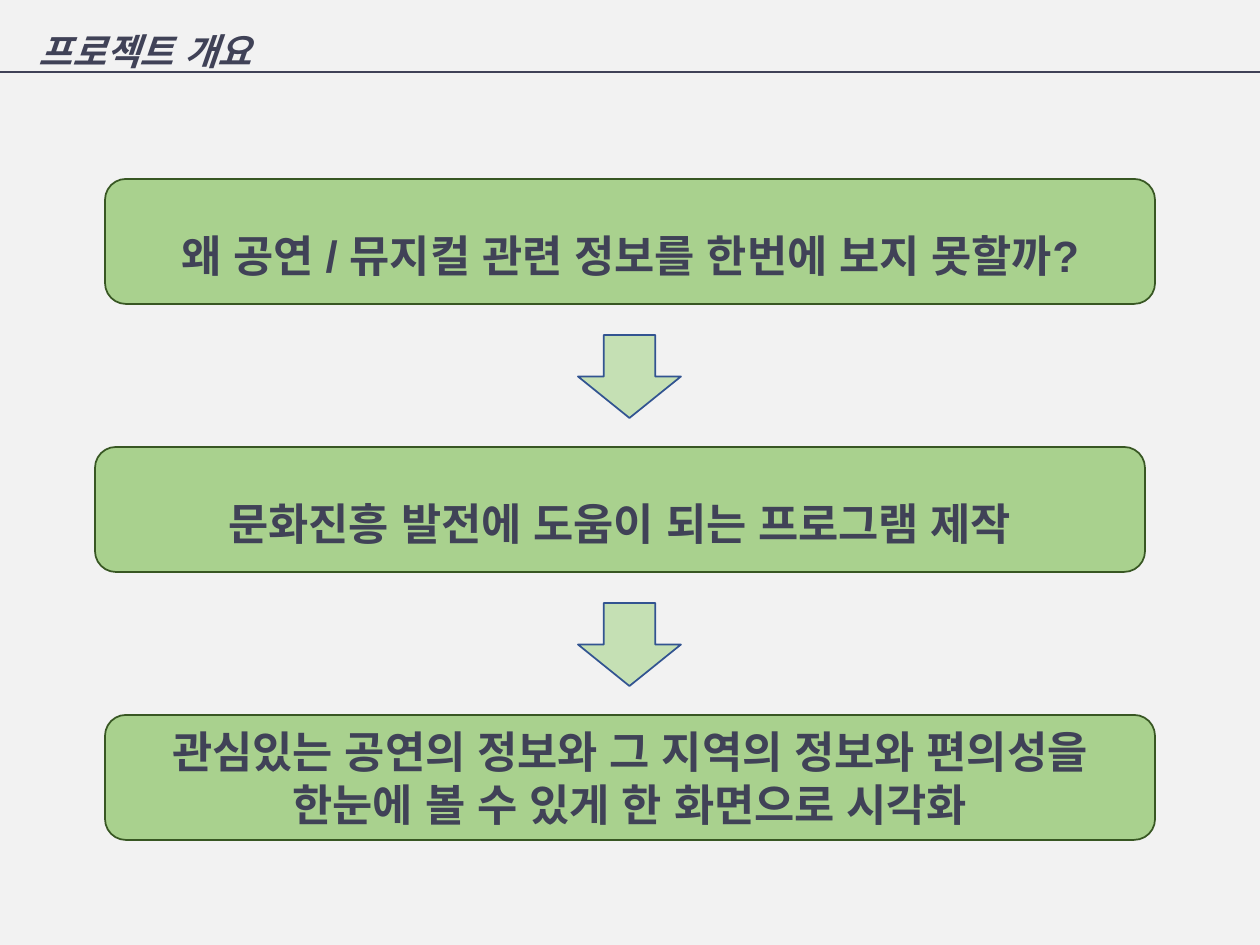
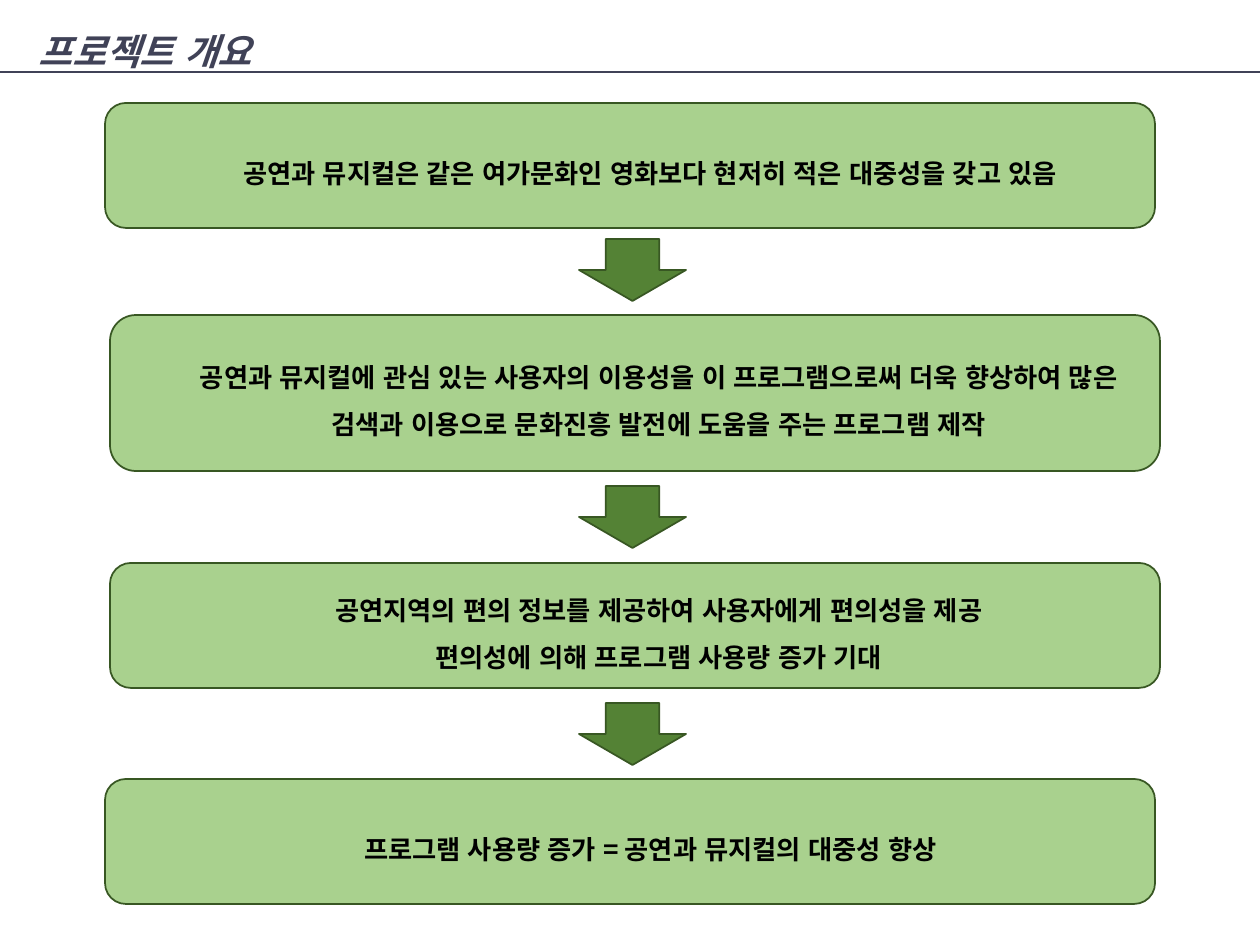
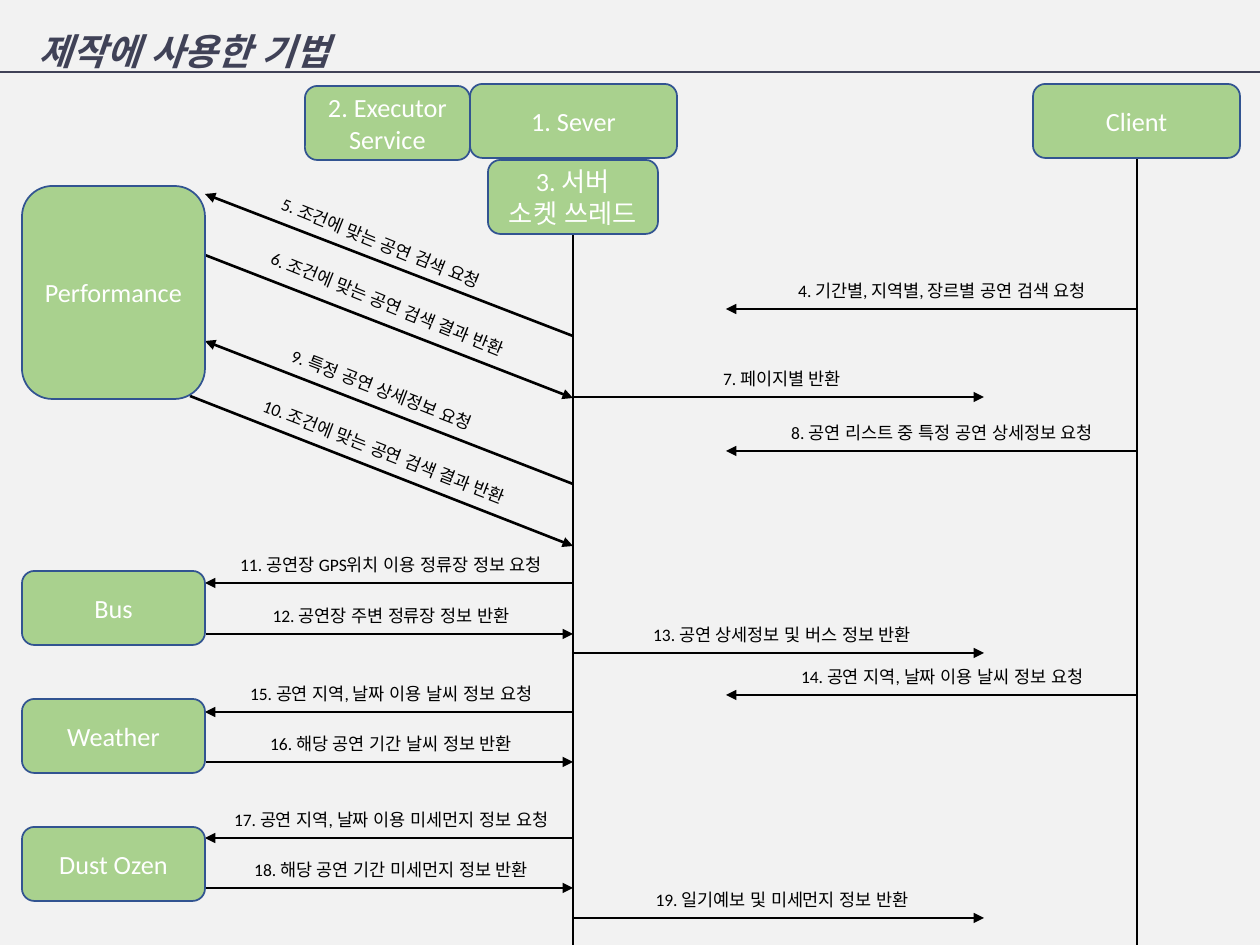
from lxml.etree import SubElement
from pptx import Presentation
from pptx.dml.color import RGBColor
from pptx.enum.shapes import MSO_CONNECTOR, MSO_SHAPE
from pptx.enum.text import MSO_ANCHOR, MSO_AUTO_SIZE, PP_ALIGN
from pptx.oxml.ns import qn
from pptx.util import Inches, Pt

PX = Inches(10) / 1260

INK = RGBColor(0x40, 0x42, 0x57)
BLACK = RGBColor(0x00, 0x00, 0x00)
WHITE = RGBColor(0xFF, 0xFF, 0xFF)
PALE_GRAY = RGBColor(0xF2, 0xF2, 0xF2)
GREEN = RGBColor(0xA9, 0xD1, 0x8E)
LIGHT_GREEN = RGBColor(0xC5, 0xE0, 0xB4)
DARK_GREEN = RGBColor(0x54, 0x82, 0x35)
GREEN_EDGE = RGBColor(0x38, 0x57, 0x23)
BLUE_EDGE = RGBColor(0x32, 0x54, 0x91)

KOREAN = "Noto Sans CJK KR"
EAST_ASIAN = "Arial"


def write_text(text_frame, text, size, font, color, bold=False, italic=False,
               spacing=1.0, align=PP_ALIGN.CENTER, indent=0):
    text_frame.word_wrap = True
    text_frame.text = text
    for paragraph in text_frame.paragraphs:
        paragraph.alignment = align
        paragraph.line_spacing = spacing
        if indent:
            properties = paragraph._p.get_or_add_pPr()
            properties.set("marL", str(round(indent * PX)))
            properties.set("indent", "0")
        for run in paragraph.runs:
            run.font.size = Pt(size)
            run.font.bold = bold
            run.font.italic = italic
            run.font.color.rgb = color
            run.font.name = font
            SubElement(run._r.get_or_add_rPr(), qn("a:ea"), typeface=EAST_ASIAN)


def add_block(slide, kind, box, fill, edge, margin=0):
    shape = slide.shapes.add_shape(kind, *(round(value * PX) for value in box))
    shape.shadow.inherit = False
    shape.fill.solid()
    shape.fill.fore_color.rgb = fill
    shape.line.color.rgb = edge
    shape.line.width = Pt(1)
    text_frame = shape.text_frame
    text_frame.vertical_anchor = MSO_ANCHOR.MIDDLE
    text_frame.margin_left = text_frame.margin_right = Inches(2 * margin)
    text_frame.margin_top = text_frame.margin_bottom = Inches(margin)
    return shape


presentation = Presentation()
presentation.slide_width = Inches(10)
presentation.slide_height = Inches(7.5)

# Backgrounds and titles; strokes are (slide, ends, colour, has arrowhead)
strokes = []
for title, background in [("프로젝트 개요", PALE_GRAY), ("프로젝트 개요", WHITE),
                          ("제작에 사용한 기법", PALE_GRAY)]:
    slide = presentation.slides.add_slide(presentation.slide_layouts[5])
    slide.background.fill.solid()
    slide.background.fill.fore_color.rgb = background
    shape = slide.shapes.title
    shape.left, shape.top, shape.width, shape.height = (
        round(value * PX) for value in (26, 3, 529, 68))
    text_frame = shape.text_frame
    text_frame.vertical_anchor = MSO_ANCHOR.TOP
    text_frame.auto_size = MSO_AUTO_SIZE.NONE
    text_frame.margin_top = Inches(0.03)
    write_text(text_frame, title, 21, KOREAN, INK, bold=True, italic=True,
               spacing=1.5, align=PP_ALIGN.LEFT)
    strokes.append((slide, (1260, 72, 0, 72), INK, False))

question_slide, goal_slide, sequence_slide = presentation.slides

# Slide 1: three statements
statements = [
    (105, 1.5, "왜 공연 / 뮤지컬 관련 정보를 한번에 보지 못할까?"),
    (95, 1.5, "문화진흥 발전에 도움이 되는 프로그램 제작"),
    (105, 1.0, "관심있는 공연의 정보와 그 지역의 정보와 편의성을 한눈에 볼 수 있게 한 화면으로 시각화"),
]
for row, (left, spacing, text) in enumerate(statements):
    top = 179 + 268 * row
    shape = add_block(question_slide, MSO_SHAPE.ROUNDED_RECTANGLE,
                      (left, top, 1050, 125), GREEN, GREEN_EDGE)
    write_text(shape.text_frame, text, 25, "Arial", INK, bold=True, spacing=spacing)
    if row < 2:
        add_block(question_slide, MSO_SHAPE.DOWN_ARROW, (578, top + 156, 103, 83),
                  LIGHT_GREEN, BLUE_EDGE)

# Slide 2: four steps
steps = [
    (105, 103, 125, "공연과 뮤지컬은 같은 여가문화인 영화보다 현저히 적은 대중성을 갖고 있음 "),
    (110, 315, 156, "공연과 뮤지컬에 관심 있는 사용자의 이용성을 이 프로그램으로써 더욱 향상하여 많은 "
                    "검색과 이용으로 문화진흥 발전에 도움을 주는 프로그램 제작"),
    (110, 563, 125, "공연지역의 편의 정보를 제공하여 사용자에게 편의성을 제공\n"
                    "편의성에 의해 프로그램 사용량 증가 기대"),
    (105, 779, 125, "프로그램 사용량 증가 = 공연과 뮤지컬의 대중성 향상 "),
]
for left, top, height, text in steps:
    shape = add_block(goal_slide, MSO_SHAPE.ROUNDED_RECTANGLE,
                      (left, top, 1050, height), GREEN, GREEN_EDGE)
    write_text(shape.text_frame, text, 15, KOREAN, BLACK, bold=True,
               spacing=1.5, indent=48)
for top in (239, 486, 703):
    add_block(goal_slide, MSO_SHAPE.DOWN_ARROW, (579, top, 107, 62),
              DARK_GREEN, GREEN_EDGE)

# Slide 3: lifelines and messages
for x in (573, 1137):
    strokes.append((sequence_slide, (x, 159, x, 945), BLACK, False))

# Each route is (from x, to x, label centre)
CLIENT_REQUEST = (1137, 726, 942)
CLIENT_REPLY = (572, 984, 782)
SOURCE_REQUEST = (574, 205, 391)
SOURCE_REPLY = (206, 573, 391)
messages = [
    (CLIENT_REQUEST, 309, "4. 기간별, 지역별, 장르별 공연 검색 요청"),
    (CLIENT_REPLY, 397, "7. 페이지별 반환"),
    (CLIENT_REQUEST, 451, "8. 공연 리스트 중 특정 공연 상세정보 요청"),
    (SOURCE_REQUEST, 583, "11. 공연장 GPS위치 이용 정류장 정보 요청"),
    (SOURCE_REPLY, 634, "12. 공연장 주변 정류장 정보 반환"),
    (CLIENT_REPLY, 653, "13. 공연 상세정보 및 버스 정보 반환"),
    (CLIENT_REQUEST, 695, "14. 공연 지역, 날짜 이용 날씨 정보 요청"),
    (SOURCE_REQUEST, 712, "15. 공연 지역, 날짜 이용 날씨 정보 요청"),
    (SOURCE_REPLY, 762, "16. 해당 공연 기간 날씨 정보 반환"),
    (SOURCE_REQUEST, 838, "17. 공연 지역, 날짜 이용 미세먼지 정보 요청"),
    (SOURCE_REPLY, 888, "18. 해당 공연 기간 미세먼지 정보 반환"),
    (CLIENT_REPLY, 918, "19. 일기예보 및 미세먼지 정보 반환"),
]
slanted_messages = [
    ((573, 336, 205, 194), (252, 226, 258), 21.9, "5. 조건에 맞는 공연 검색 요청"),
    ((205, 255, 573, 398), (238, 287, 299), 21.9, "6. 조건에 맞는 공연 검색 결과 반환"),
    ((573, 484, 205, 341), (253, 373, 257), 21.3, "9. 특정 공연 상세정보 요청"),
    ((190, 396, 573, 546), (226, 435, 316), 21.3, "10. 조건에 맞는 공연 검색 결과 반환"),
]
labels = []
for (start, end, centre), y, text in messages:
    strokes.append((sequence_slide, (start, y, end, y), BLACK, True))
    labels.append(((centre - 181, y - 35, 362), 0, text))
for ends, place, angle, text in slanted_messages:
    strokes.append((sequence_slide, ends, BLACK, True))
    labels.append((place, angle, text))

# Connectors of all slides
for slide, ends, color, has_arrow in strokes:
    connector = slide.shapes.add_connector(
        MSO_CONNECTOR.STRAIGHT, *(round(value * PX) for value in ends))
    connector.line.color.rgb = color
    connector.line.width = Pt(1.5)
    if has_arrow:
        SubElement(connector.line._get_or_add_ln(), qn("a:tailEnd"), type="triangle")
    SubElement(connector._element.spPr, qn("a:effectLst"))

# Slide 3: message labels
for place, angle, text in labels:
    shape = sequence_slide.shapes.add_textbox(
        *(round(value * PX) for value in (*place, 34)))
    shape.rotation = angle
    write_text(shape.text_frame, text, 10, "Calibri", BLACK)

# Slide 3: participants
participants = [
    ((470, 84, 207, 74), "1. Sever"),
    ((1033, 84, 207, 74), "Client"),
    ((22, 186, 183, 213), "Performance"),
    ((22, 571, 183, 74), "Bus"),
    ((22, 699, 183, 74), "Weather"),
    ((22, 827, 183, 74), "Dust Ozen"),
    ((305, 86, 165, 74), "2. Executor\nService"),
    ((488, 160, 170, 74), "3. 서버\n소켓 쓰레드"),
]
for box, text in participants:
    shape = add_block(sequence_slide, MSO_SHAPE.ROUNDED_RECTANGLE, box,
                      GREEN, BLUE_EDGE, margin=0.05)
    write_text(shape.text_frame, text, 15, "Calibri", WHITE)

presentation.save("out.pptx")
